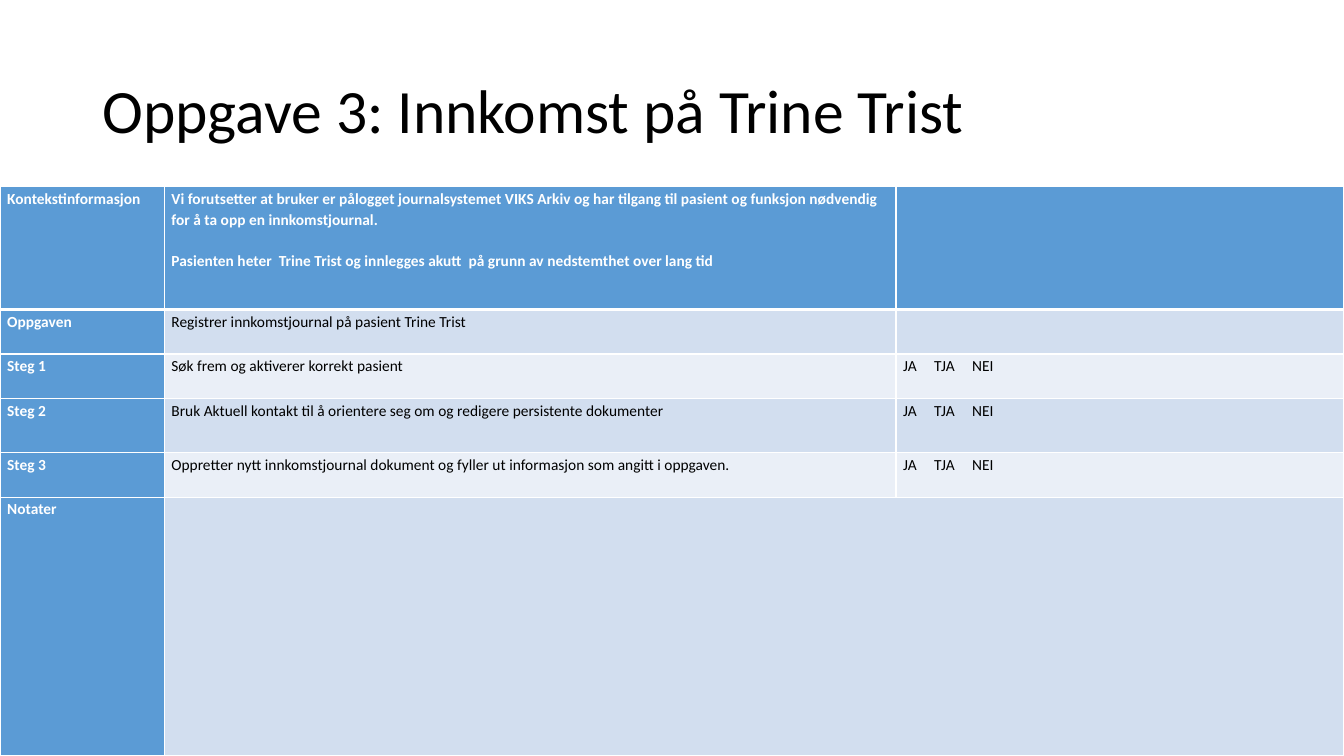
from dataclasses import dataclass
from lxml import etree
from pptx import Presentation
from pptx import util as u
from pptx.dml.color import RGBColor
from pptx.enum import text
from pptx.oxml import ns

HEADING = "Oppgave 3: Innkomst på Trine Trist"
ANSWERS = "JA\tTJA\tNEI"
CONTEXT = [
    "Vi forutsetter at bruker er pålogget journalsystemet VIKS Arkiv og har tilgang til pasient "
    "og funksjon nødvendig for å ta opp en innkomstjournal.",
    "Pasienten heter  Trine Trist og innlegges akutt  på grunn av nedstemthet over lang tid",
]
TASK_ROWS = [
    (3.1, ["Kontekstinformasjon"], CONTEXT, []),
    (1.12, ["Oppgaven"], ["Registrer innkomstjournal på pasient Trine Trist"], []),
    (1.12, ["Steg 1"], ["Søk frem og aktiverer korrekt pasient"], [ANSWERS]),
    (1.37, ["Steg 2"],
     ["Bruk Aktuell kontakt til å orientere seg om og redigere persistente dokumenter"], [ANSWERS]),
    (1.12, ["Steg 3"],
     ["Oppretter nytt innkomstjournal dokument og fyller ut informasjon som angitt i oppgaven."],
     [ANSWERS]),
    (6.5, ["Notater"], [], []),
]
LABEL_WIDTH, TASK_WIDTH = 4.14, 18.44
ANSWER_TABS = (0.78, 1.74)
SLIDE_WIDTH, SLIDE_HEIGHT = 33.87, 19.05
TABLE_TOP = 4.7


@dataclass(frozen=True)
class Theme:
    font: str = "Calibri"
    heading_size: float = 44
    body_size: float = 11
    ink: str = "000000"
    white: str = "FFFFFF"
    accent: str = "5B9BD5"
    bands: tuple = ("EAEFF7", "D2DEEF")
    thin: float = 1
    thick: float = 3


THEME = Theme()


def write(frame, lines, *, size, color, bold=False, spacing=1.0, gap=0, tabs=()):
    for index, line in enumerate(lines):
        paragraph = frame.paragraphs[0] if index == 0 else frame.add_paragraph()
        paragraph.alignment = text.PP_ALIGN.LEFT
        paragraph.line_spacing = spacing if index == 0 else 1.0
        paragraph.space_before = u.Pt(gap if index else 0)
        if tabs:
            stops = etree.SubElement(paragraph._p.get_or_add_pPr(), ns.qn("a:tabLst"))
            for stop in tabs:
                etree.SubElement(stops, ns.qn("a:tab"), pos=str(u.Cm(stop)), algn="l")
        run = paragraph.add_run()
        run.text = line
        run.font.name = THEME.font
        run.font.size = u.Pt(size)
        run.font.bold = bold
        run.font.color.rgb = RGBColor.from_string(color)


def outline(cell, top, bottom):
    properties = cell._tc.get_or_add_tcPr()
    for side, width in (("L", THEME.thin), ("R", THEME.thin), ("T", top), ("B", bottom)):
        edge = etree.SubElement(properties, ns.qn(f"a:ln{side}"), w=str(u.Pt(width)))
        paint = etree.SubElement(edge, ns.qn("a:solidFill"))
        etree.SubElement(paint, ns.qn("a:srgbClr"), val=THEME.white)


def add_heading(slide):
    heading = slide.shapes.title
    heading.left, heading.top = u.Cm(2.33), u.Cm(1.01)
    heading.width, heading.height = u.Cm(29.21), u.Cm(3.68)
    frame = heading.text_frame
    frame.word_wrap = True
    frame.auto_size = text.MSO_AUTO_SIZE.NONE
    frame.vertical_anchor = text.MSO_ANCHOR.MIDDLE
    write(frame, [HEADING], size=THEME.heading_size, color=THEME.ink, spacing=0.9)


def add_tasks(slide):
    widths = (LABEL_WIDTH, TASK_WIDTH, SLIDE_WIDTH - LABEL_WIDTH - TASK_WIDTH)
    height = sum(row[0] for row in TASK_ROWS)
    tasks = slide.shapes.add_table(len(TASK_ROWS), len(widths), 0, u.Cm(TABLE_TOP),
                                   u.Cm(SLIDE_WIDTH), u.Cm(height)).table
    for column, width in zip(tasks.columns, widths):
        column.width = u.Cm(width)
    for r, (row_height, *contents) in enumerate(TASK_ROWS):
        tasks.rows[r].height = u.Cm(row_height)
        for c, lines in enumerate(contents):
            cell = tasks.cell(r, c)
            strong = r == 0 or c == 0
            outline(cell, THEME.thick if r == 1 else THEME.thin,
                    THEME.thick if r == 0 else THEME.thin)
            cell.fill.solid()
            cell.fill.fore_color.rgb = RGBColor.from_string(
                THEME.accent if strong else THEME.bands[r % 2])
            cell.margin_left = cell.margin_right = u.Cm(0.18)
            cell.margin_top = cell.margin_bottom = 0
            write(cell.text_frame, lines, size=THEME.body_size, bold=strong,
                  color=THEME.white if strong else THEME.ink, spacing=1.15, gap=15.4,
                  tabs=ANSWER_TABS if c == 2 else ())
    notes_row = len(TASK_ROWS) - 1
    tasks.cell(notes_row, 1).merge(tasks.cell(notes_row, 2))


def main():
    deck = Presentation()
    deck.slide_width, deck.slide_height = u.Cm(SLIDE_WIDTH), u.Cm(SLIDE_HEIGHT)
    slide = deck.slides.add_slide(deck.slide_layouts[5])
    add_heading(slide)
    add_tasks(slide)
    deck.save("out.pptx")


if __name__ == "__main__":
    main()
